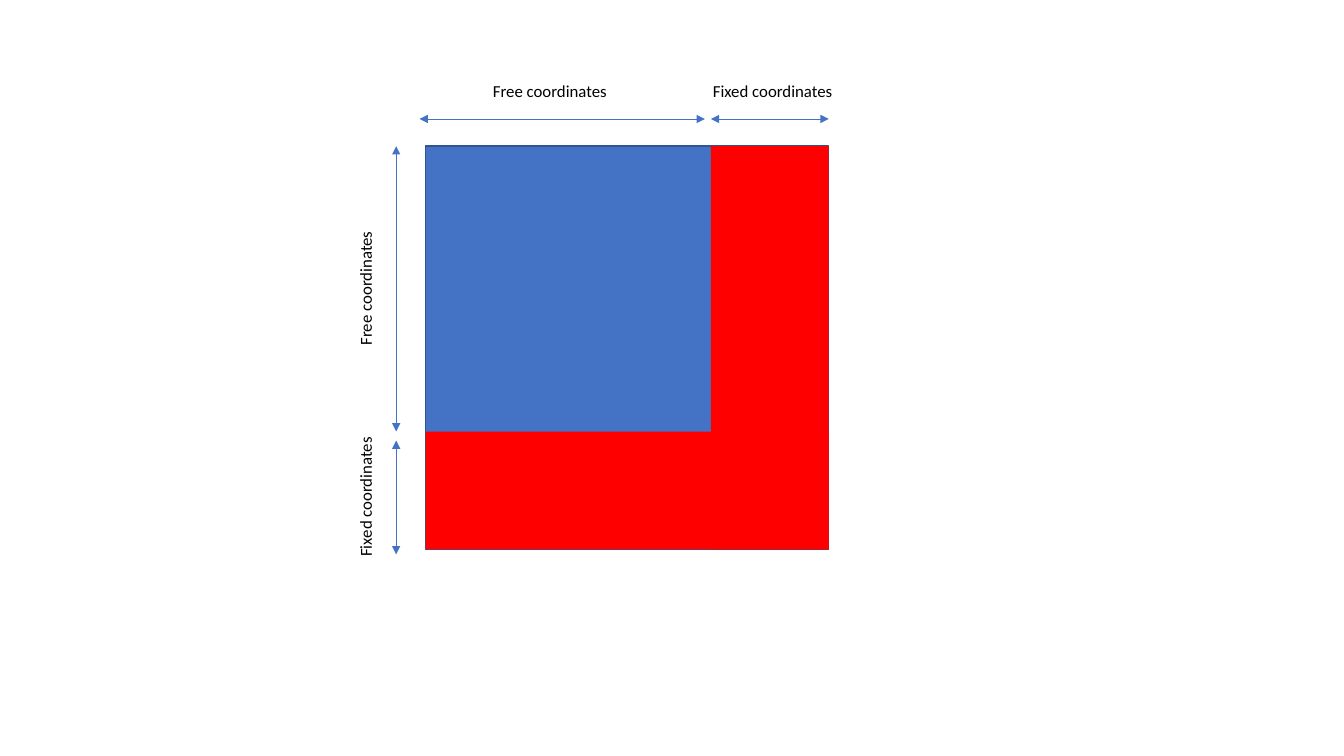
from dataclasses import dataclass

from lxml import etree
from pptx import Presentation
from pptx.dml.color import RGBColor
from pptx.enum import shapes, text
from pptx.oxml import ns
from pptx.util import Pt


@dataclass(frozen=True)
class Theme:
    free: RGBColor = RGBColor.from_string("4472C4")
    outline: RGBColor = RGBColor.from_string("325491")
    fixed: RGBColor = RGBColor.from_string("FF0000")
    ink: RGBColor = RGBColor.from_string("000000")
    font: str = "Calibri"
    label_size: float = 12
    outline_width: float = 1
    arrow_width: float = 0.5


class Diagram:
    def __init__(self, slide, theme):
        self.slide = slide
        self.theme = theme

    def block(self, center_x, center_y, width, height, fill, outline=None, rotation=0):
        block = self.slide.shapes.add_shape(
            shapes.MSO_SHAPE.RECTANGLE,
            Pt(center_x - width / 2), Pt(center_y - height / 2), Pt(width), Pt(height))
        block.rotation = rotation
        block.shadow.inherit = False
        block.fill.solid()
        block.fill.fore_color.rgb = fill
        if outline is None:
            block.line.fill.background()
        else:
            block.line.color.rgb = outline
            block.line.width = Pt(self.theme.outline_width)

    def span_arrow(self, start_x, start_y, end_x, end_y):
        arrow = self.slide.shapes.add_connector(
            shapes.MSO_CONNECTOR.STRAIGHT, Pt(start_x), Pt(start_y), Pt(end_x), Pt(end_y))
        arrow.line.color.rgb = self.theme.free
        arrow.line.width = Pt(self.theme.arrow_width)
        outline = arrow.line._get_or_add_ln()
        for end in ("a:headEnd", "a:tailEnd"):
            etree.SubElement(outline, ns.qn(end), type="triangle")
        etree.SubElement(arrow._element.spPr, ns.qn("a:effectLst"))

    def label(self, center_x, center_y, wording, rotation=0):
        width, height = 143.3, 21.8
        label = self.slide.shapes.add_textbox(
            Pt(center_x - width / 2), Pt(center_y - height / 2), Pt(width), Pt(height))
        label.rotation = rotation
        frame = label.text_frame
        frame.word_wrap = True
        frame.auto_size = text.MSO_AUTO_SIZE.SHAPE_TO_FIT_TEXT
        frame.text = wording
        paragraph = frame.paragraphs[0]
        paragraph.alignment = text.PP_ALIGN.CENTER
        font = paragraph.runs[0].font
        font.name = self.theme.font
        font.size = Pt(self.theme.label_size)
        font.color.rgb = self.theme.ink


presentation = Presentation()
presentation.slide_width, presentation.slide_height = Pt(960), Pt(540)
theme = Theme()
diagram = Diagram(presentation.slides.add_slide(presentation.slide_layouts[6]), theme)

left, top, side, band = 304, 104.4, 288, 84.2
right, bottom = left + side, top + side
free_right, free_bottom = right - band, bottom - band
middle_x, middle_y = left + side / 2, top + side / 2
quarter_turn = 270

diagram.block(middle_x, middle_y, side, side, theme.free, theme.outline)
diagram.block(right - band / 2, middle_y, band, side, theme.fixed)
diagram.block(middle_x, bottom - band / 2, band, side, theme.fixed, rotation=quarter_turn)

column_arrow_y, row_arrow_x = 85, 283
for start, end in ((left - 4.3, free_right - 4.3), (free_right, right)):
    diagram.span_arrow(start, column_arrow_y, end, column_arrow_y)
for start, end in ((top, free_bottom), (bottom + 3.6, free_bottom + 6.5)):
    diagram.span_arrow(row_arrow_x, start, row_arrow_x, end)

column_label_y, row_label_x = 64.9, 261
for wording, column_x, row_y in (
        ("Fixed coordinates", 551.9, 355),
        ("Free coordinates", 392.8, 206)):
    diagram.label(column_x, column_label_y, wording)
    diagram.label(row_label_x, row_y, wording, quarter_turn)

presentation.save("out.pptx")
